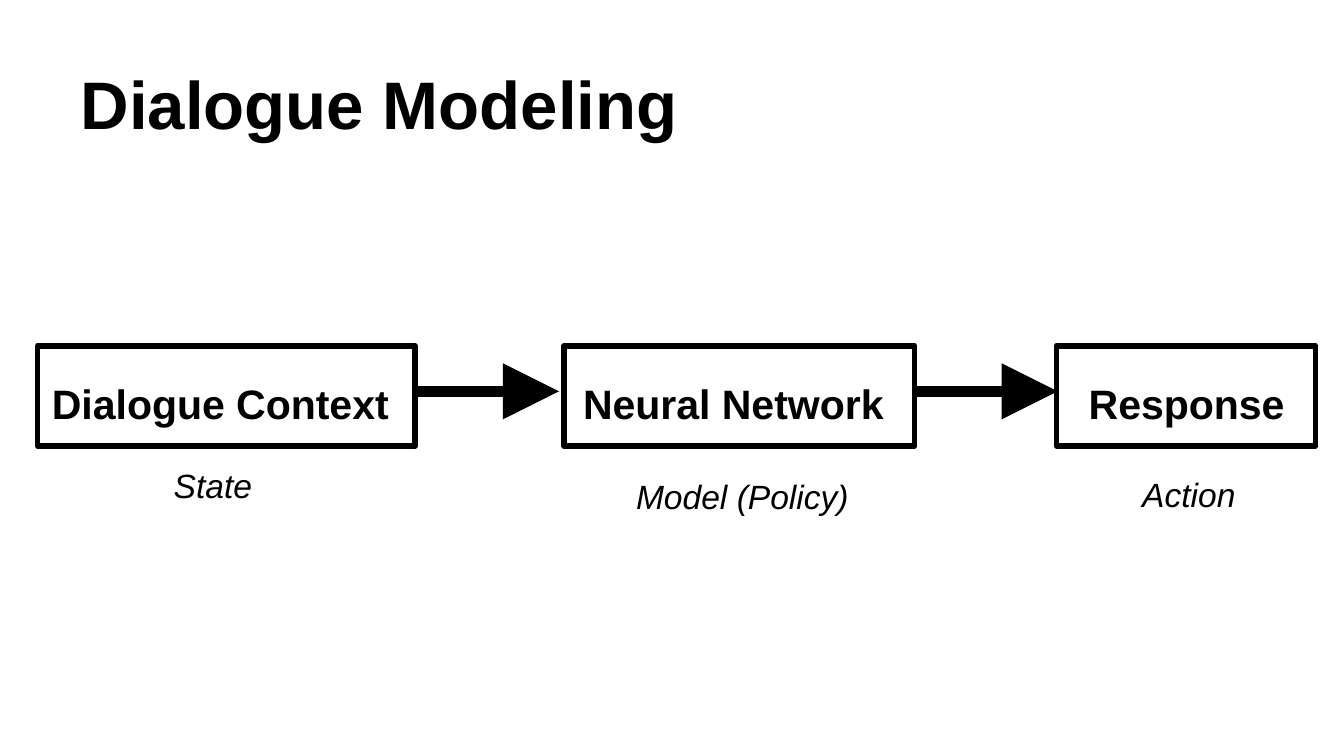
from pptx import Presentation
from pptx.dml.color import RGBColor
from pptx.enum.shapes import MSO_CONNECTOR as Connector, MSO_SHAPE as Shape
from pptx.enum.text import MSO_ANCHOR as Anchor, MSO_AUTO_SIZE as AutoSize, PP_ALIGN as Align
from pptx.oxml.ns import qn
from pptx.util import Inches, Pt
from lxml.etree import SubElement

COLUMNS, ROWS = 100, 56.25  # square grid cells
BOX_TOP, BOX_HEIGHT = 25.74, 7.44
LABEL_TOP, LABEL_HEIGHT = 26.44, 6.8
ARROW_ROW = 29.12


def color(hex_code):
    return RGBColor.from_string(hex_code)


def write_text(frame, text, *, size, font="Arial", ink="000000", bold=False,
               italic=False, spacing=1.0, anchor=Anchor.TOP):
    frame.word_wrap = True
    frame.auto_size = AutoSize.NONE
    frame.vertical_anchor = anchor
    frame.margin_left = frame.margin_right = Inches(0.1)
    frame.margin_top = frame.margin_bottom = Inches(0.1)
    para = frame.paragraphs[0]
    para.alignment = Align.LEFT
    para.line_spacing = spacing
    span = para.add_run()
    span.text = text
    span.font.name = font
    span.font.size = Pt(size)
    span.font.bold = bold
    span.font.italic = italic
    span.font.color.rgb = color(ink)


class Diagram:
    """Holds the style and the current slide; lengths are grid columns and rows."""

    ink = "000000"

    def __init__(self, deck):
        self.column = deck.slide_width / COLUMNS
        self.row = deck.slide_height / ROWS
        self.page = deck.slides.add_slide(deck.slide_layouts[5])

    def place(self, left, top, width, height):
        return (round(left * self.column), round(top * self.row),
                round(width * self.column), round(height * self.row))

    def title(self, text, *area):
        title = self.page.shapes.title
        title.left, title.top, title.width, title.height = self.place(*area)
        write_text(title.text_frame, text, size=36, bold=True,
                   ink=self.ink, anchor=Anchor.BOTTOM)

    def text(self, text, *area, **style):
        box = self.page.shapes.add_textbox(*self.place(*area))
        write_text(box.text_frame, text, ink=self.ink, **style)

    def frame(self, *area):
        box = self.page.shapes.add_shape(Shape.RECTANGLE, *self.place(*area))
        box.shadow.inherit = False
        box.fill.background()
        box.line.color.rgb = color(self.ink)
        box.line.width = Pt(3)

    def arrow(self, start, end, row):
        arrow = self.page.shapes.add_connector(
            Connector.STRAIGHT, *self.place(start, row, end, row))
        arrow.line.color.rgb = color(self.ink)
        arrow.line.width = Pt(6)
        SubElement(arrow.line._get_or_add_ln(), qn("a:tailEnd"),
                   type="triangle", w="lg", len="lg")
        SubElement(arrow._element.spPr, qn("a:effectLst"))


def main():
    deck = Presentation()
    deck.slide_width = Inches(10)
    deck.slide_height = deck.slide_width * 9 // 16
    diagram = Diagram(deck)
    diagram.title("Dialogue Modeling", 5, 2.25, 90, 9.37)

    # Arrows between the stages
    for start, end in ((30.9, 41.6), (68, 78.7)):
        diagram.arrow(start, end, ARROW_ROW)

    # Stages: (left, width) of the box and label, (left, top, width) of the caption
    stages = (
        ("Dialogue Context", (2.8, 28.1), (2.88, 28.7), "State", (11.94, 33.6, 19.3)),
        ("Neural Network", (41.96, 26.1), (42.4, 24.8), "Model (Policy)", (46.34, 34.4, 18.2)),
        ("Response", (78.6, 19.3), (80.02, 17.2), "Action", (84, 34.3, 10.7)),
    )
    for label, (left, width), (label_left, label_width), caption, caption_area in stages:
        diagram.frame(left, BOX_TOP, width, BOX_HEIGHT)
        diagram.text(label, label_left, LABEL_TOP, label_width, LABEL_HEIGHT,
                     size=22, bold=True, spacing=1.2)
        diagram.text(caption, *caption_area, 4.4, size=18, italic=True)

    deck.save("out.pptx")


if __name__ == "__main__":
    main()
